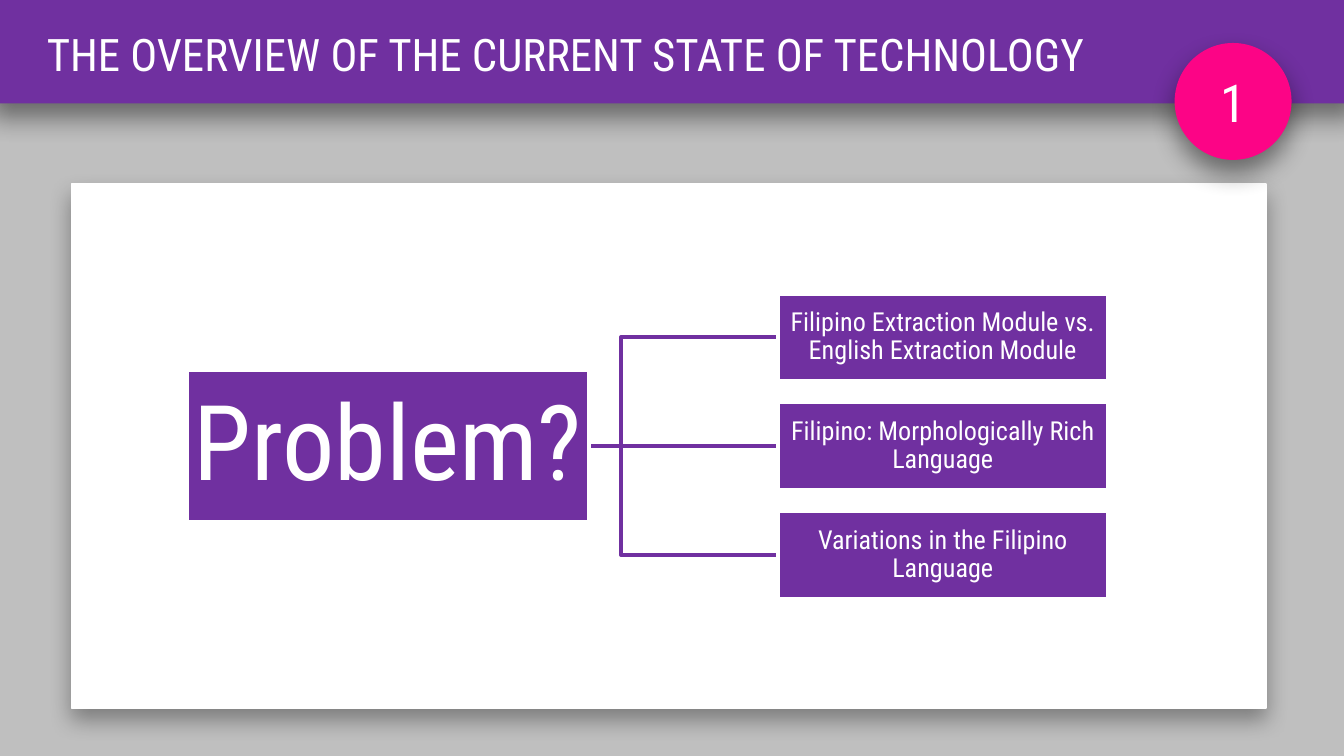
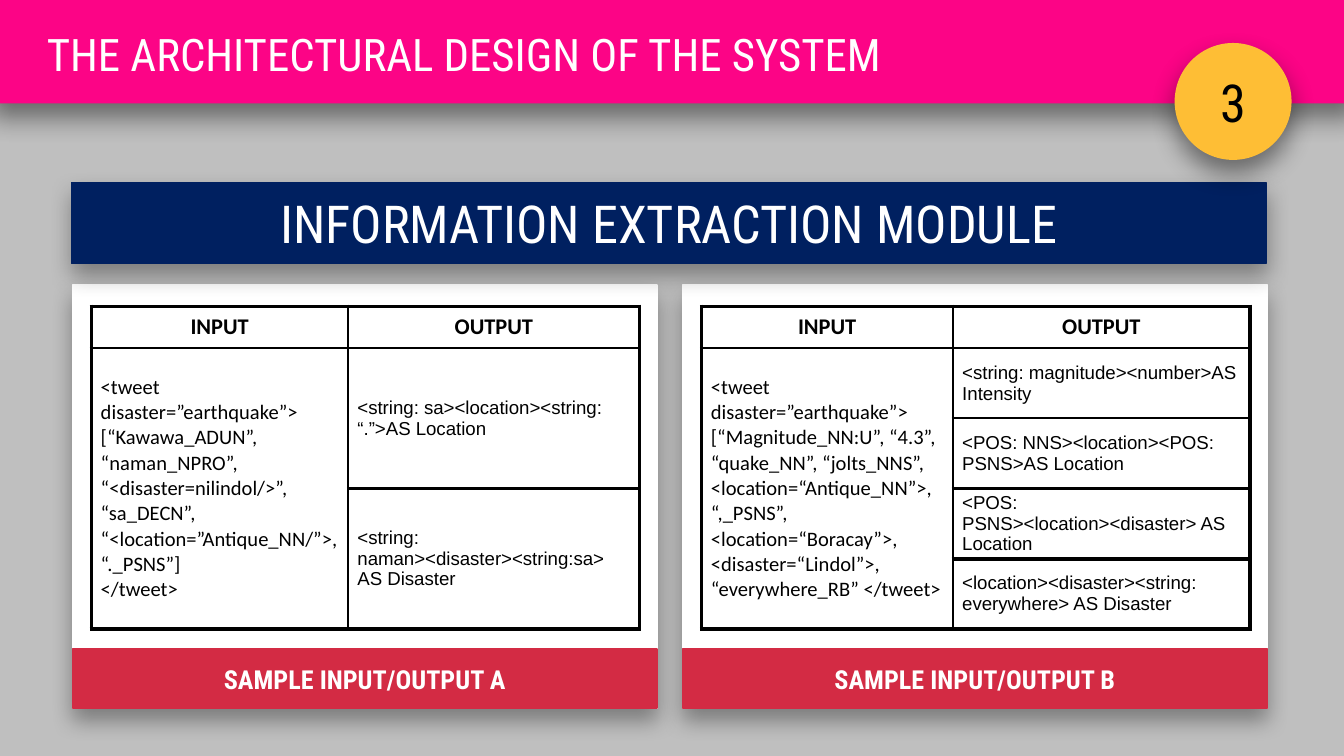
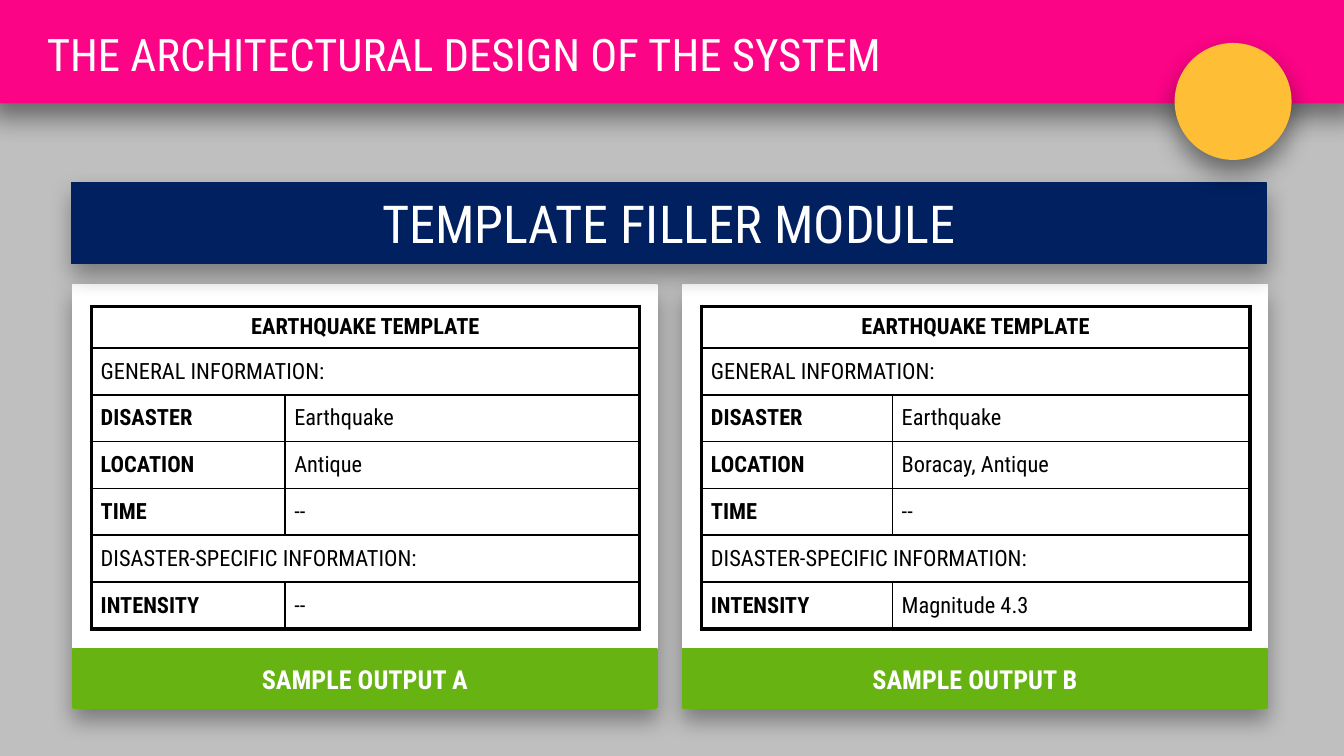
from dataclasses import dataclass

from lxml import etree
from pptx import Presentation
from pptx import util as u
from pptx.dml.color import RGBColor
from pptx.enum import shapes, text
from pptx.oxml.ns import qn

WHITE = RGBColor(0xFF, 0xFF, 0xFF)
BLACK = RGBColor(0x00, 0x00, 0x00)
GREY = RGBColor(0xBF, 0xBF, 0xBF)
PURPLE = RGBColor(0x70, 0x30, 0xA0)
PINK = RGBColor(0xFC, 0x04, 0x86)
AMBER = RGBColor(0xFE, 0xBE, 0x35)
NAVY = RGBColor(0x00, 0x20, 0x60)
RED = RGBColor(0xD3, 0x2B, 0x44)
GREEN = RGBColor(0x67, 0xB3, 0x12)

CONDENSED, CALIBRI, ARIAL = "Roboto Condensed", "Calibri", "Arial"
LEFT, CENTER = text.PP_ALIGN.LEFT, text.PP_ALIGN.CENTER
TOP, MIDDLE = text.MSO_ANCHOR.TOP, text.MSO_ANCHOR.MIDDLE
RECTANGLE, OVAL = shapes.MSO_SHAPE.RECTANGLE, shapes.MSO_SHAPE.OVAL

# The slide is a grid of square cells, 100 columns wide and 56.25 rows high.
SLIDE_WIDTH = u.Inches(10)
CELL = SLIDE_WIDTH / 100
ROWS = 56.25

# Shadows: opacity in percent, blur and distance in points.
CARD_SHADOW = (35, 12, 6)
BAND_SHADOW = (45, 14, 7)
OUTER_RULE = 2.25


def cells(count):
    return u.Emu(round(count * CELL))


@dataclass
class Box:
    """An area of the slide grid, in columns and rows."""
    left: float
    top: float
    width: float
    height: float

    def inner(self, left, top, width, height):
        return Box(self.left + left, self.top + top, width, height)

    def lengths(self):
        return [cells(n) for n in (self.left, self.top, self.width, self.height)]

    @property
    def middle(self):
        return self.top + self.height / 2


CONTENT = Box(5.3, 13.6, 88.9, 39.1)
CARD_WIDTH = 43.5
CARD_STEP = 45.4


def write(frame, paragraphs, size, color=WHITE, font=CONDENSED, bold=False,
          align=CENTER, spacing=None):
    for index, words in enumerate(paragraphs):
        paragraph = frame.add_paragraph() if index else frame.paragraphs[0]
        paragraph.alignment = align
        if spacing:
            paragraph.line_spacing = spacing
        run = paragraph.add_run()
        run.text = words
        run.font.name = font
        run.font.size = u.Pt(size)
        run.font.bold = bold
        run.font.color.rgb = color


def cast_shadow(shape, opacity, blur, distance):
    effects = shape._element.spPr.find(qn("a:effectLst"))
    shadow = etree.SubElement(
        effects, qn("a:outerShdw"), blurRad=str(u.Pt(blur)), dist=str(u.Pt(distance)),
        dir="5400000", algn="t", rotWithShape="0")
    color = etree.SubElement(shadow, qn("a:srgbClr"), val=str(BLACK))
    etree.SubElement(color, qn("a:alpha"), val=str(opacity * 1000))


def add_block(slide, box, fill, line=None, line_width=0.75, shadow=None, preset=RECTANGLE):
    shape = slide.shapes.add_shape(preset, *box.lengths())
    shape.shadow.inherit = False
    shape.fill.solid()
    shape.fill.fore_color.rgb = fill
    if line is None:
        shape.line.fill.background()
    else:
        shape.line.color.rgb = line
        shape.line.width = u.Pt(line_width)
    if shadow:
        cast_shadow(shape, *shadow)
    shape.text_frame.vertical_anchor = MIDDLE
    return shape


def add_header(slide, title, band_color, badge_color, number=None, number_color=WHITE):
    """Title band bleeding over the top edge, with a round section badge."""
    add_block(slide, Box(-0.8, -9.8, 101.7, 17.5), band_color, shadow=BAND_SHADOW)
    label = slide.shapes.add_textbox(*Box(2.5, 1.5, 80, 5).lengths())
    label.text_frame.word_wrap = True
    label.text_frame.vertical_anchor = TOP
    write(label.text_frame, [title], 24, align=LEFT)
    badge = add_block(slide, Box(87.4, 3.2, 8.7, 8.7), badge_color,
                      shadow=BAND_SHADOW, preset=OVAL)
    if number:
        write(badge.text_frame, [number], 28, number_color)


def add_module_heading(slide, heading):
    bar = add_block(slide, CONTENT.inner(0, 0, CONTENT.width, 6), NAVY, NAVY,
                    shadow=CARD_SHADOW)
    write(bar.text_frame, [heading], 28)


def add_card(slide, box, caption, caption_color):
    """White card with a caption strip; returns the area for its table."""
    add_block(slide, box, WHITE, WHITE, shadow=CARD_SHADOW)
    strip_height = 4.4
    strip = add_block(slide, box.inner(0, box.height - strip_height, box.width, strip_height),
                      caption_color, caption_color)
    write(strip.text_frame, [caption], 14, bold=True)
    return box.inner(1.4, 1.6, 40.8, 24)


def add_card_pair(slide, captions, color, fill_card, contents):
    for index, (caption, content) in enumerate(zip(captions, contents)):
        box = CONTENT.inner(0.1 + index * CARD_STEP, 7.6, CARD_WIDTH, 31.5)
        fill_card(slide, add_card(slide, box, caption, color), *content)


def add_grid(slide, box, row_count, first_column):
    table = slide.shapes.add_table(row_count, 2, *box.lengths()).table
    table.first_row = table.horz_banding = False
    table.columns[0].width = cells(first_column)
    table.columns[1].width = cells(box.width - first_column)
    header_height = 3.1
    table.rows[0].height = cells(header_height)
    for index in range(1, row_count):
        table.rows[index].height = cells((box.height - header_height) / (row_count - 1))
    return table


def write_cell(cell, paragraphs, size=12, font=CONDENSED, bold=False):
    cell.margin_left = cell.margin_right = u.Inches(0.07)
    cell.margin_top = cell.margin_bottom = 0
    cell.vertical_anchor = MIDDLE
    write(cell.text_frame, paragraphs, size, BLACK, font, bold, LEFT)


def write_head(cell, words, font):
    cell.vertical_anchor = MIDDLE
    write(cell.text_frame, [words], 12, BLACK, font, True)


def rule_grid(table, inner_rule, heavy_rows=()):
    """White cells, a thick frame, and thin rules save at the heavy row boundaries."""
    row_count, column_count = len(table.rows), len(table.columns)
    heavy_rows = {0, row_count, *heavy_rows}
    for row in range(row_count):
        for column in range(column_count):
            cell = table.cell(row, column)
            cell.fill.solid()
            cell.fill.fore_color.rgb = WHITE
            if cell.is_spanned:
                continue
            bottom = row + (cell.span_height if cell.is_merge_origin else 1)
            right = column + (cell.span_width if cell.is_merge_origin else 1)
            edges = {"a:lnL": column == 0, "a:lnR": right == column_count,
                     "a:lnT": row in heavy_rows, "a:lnB": bottom in heavy_rows}
            properties = cell._tc.get_or_add_tcPr()
            for position, (tag, heavy) in enumerate(edges.items()):
                width = OUTER_RULE if heavy else inner_rule
                edge = etree.Element(qn(tag), w=str(u.Pt(width)))
                fill = etree.SubElement(edge, qn("a:solidFill"))
                etree.SubElement(fill, qn("a:srgbClr"), val=str(BLACK))
                properties.insert(position, edge)


def add_extraction_table(slide, box, first_column, tweet, patterns, heavy_rows=()):
    table = add_grid(slide, box, len(patterns) + 1, first_column)
    for column, words in enumerate(("INPUT", "OUTPUT")):
        write_head(table.cell(0, column), words, CALIBRI)
    table.cell(1, 0).merge(table.cell(len(patterns), 0))
    write_cell(table.cell(1, 0), tweet, 11, CALIBRI)
    for row, pattern in enumerate(patterns, 1):
        write_cell(table.cell(row, 1), [pattern], 10, ARIAL)
    rule_grid(table, 1.5, heavy_rows)


def add_template_table(slide, box, first_column, location, intensity):
    rows = [
        ("EARTHQUAKE TEMPLATE",),
        ("GENERAL INFORMATION:",),
        ("DISASTER", "Earthquake"),
        ("LOCATION", location),
        ("TIME", "--"),
        ("DISASTER-SPECIFIC INFORMATION:",),
        ("INTENSITY", intensity),
    ]
    table = add_grid(slide, box, len(rows), first_column)
    for index, (label, *value) in enumerate(rows):
        first, second = table.cell(index, 0), table.cell(index, 1)
        if not value:
            first.merge(second)
        if index == 0:
            write_head(first, label, CONDENSED)
        else:
            write_cell(first, [label], bold=bool(value))
        if value:
            write_cell(second, value)
    rule_grid(table, 1)


def add_node(slide, box, words, size, inset):
    node = add_block(slide, box, PURPLE, WHITE, 2)
    frame = node.text_frame
    frame.word_wrap = True
    frame.margin_left = frame.margin_right = u.Inches(inset)
    frame.margin_top = frame.margin_bottom = u.Inches(inset)
    write(frame, [words], size, spacing=0.9)
    return node


def add_branch(slide, root, root_box, node, node_box):
    """Line from the root to a node, behind both; bent if they differ in height."""
    straight = abs(root_box.middle - node_box.middle) < 0.05
    kind = shapes.MSO_CONNECTOR.STRAIGHT if straight else shapes.MSO_CONNECTOR.ELBOW
    start = root_box.left + 20.6
    branch = slide.shapes.add_connector(
        kind, cells(start), cells(root_box.middle),
        cells(node_box.left), cells(node_box.middle))
    if straight:
        branch.begin_connect(root, 3)
        branch.end_connect(node, 1)
    branch.line.color.rgb = PURPLE
    branch.line.width = u.Pt(2)
    etree.SubElement(branch._element.spPr, qn("a:effectLst"))
    root._element.addprevious(branch._element)


def add_problem_tree(slide, box, root_words, node_words):
    root_box = box.inner(8.6, 13.85, 29.9, 11.3)
    root = add_node(slide, root_box, root_words, 56, 0.04)
    node_height, step = 6.5, 8.1
    first_top = 19.5 - node_height / 2 - step * (len(node_words) - 1) / 2
    for index, words in enumerate(node_words):
        node_box = box.inner(52.6, first_top + index * step, 24.5, node_height)
        node = add_node(slide, node_box, words, 14, 0.01)
        add_branch(slide, root, root_box, node, node_box)


def new_slide(presentation):
    slide = presentation.slides.add_slide(presentation.slide_layouts[6])
    slide.background.fill.solid()
    slide.background.fill.fore_color.rgb = GREY
    return slide


def build_overview(presentation):
    slide = new_slide(presentation)
    panel = CONTENT.inner(0, 0.1, CONTENT.width, 39)
    add_block(slide, panel, WHITE, WHITE, shadow=CARD_SHADOW)
    add_header(slide, "THE OVERVIEW OF THE CURRENT STATE OF TECHNOLOGY", PURPLE, PINK, "1")
    add_problem_tree(slide, panel, "Problem?", [
        "Filipino Extraction Module vs. English Extraction Module",
        "Filipino: Morphologically Rich Language",
        "Variations in the Filipino Language",
    ])


def build_module(presentation, heading, captions, color, fill_card, contents, number=None):
    slide = new_slide(presentation)
    add_card_pair(slide, captions, color, fill_card, contents)
    add_module_heading(slide, heading)
    add_header(slide, "THE ARCHITECTURAL DESIGN OF THE SYSTEM", PINK, AMBER, number, BLACK)


EXTRACTION_SAMPLES = [
    (19.1,
     ["<tweet disaster=”earthquake”>",
      "[“Kawawa_ADUN”, “naman_NPRO”, “<disaster=nilindol/>”, “sa_DECN”, "
      "“<location=”Antique_NN/”>, “._PSNS”]",
      "</tweet>"],
     ["<string: sa><location><string: “.”>AS Location",
      "<string: naman><disaster><string:sa> AS Disaster"]),
    (18.7,
     ["<tweet disaster=”earthquake”>",
      "[“Magnitude_NN:U”, “4.3”, “quake_NN”, “jolts_NNS”, <location=“Antique_NN”>, "
      "“,_PSNS”, <location=“Boracay”>, <disaster=“Lindol”>, “everywhere_RB” </tweet>"],
     ["<string: magnitude><number>AS Intensity",
      "<POS: NNS><location><POS: PSNS>AS Location",
      "<POS: PSNS><location><disaster> AS Location",
      "<location><disaster><string: everywhere> AS Disaster"],
     (4,)),
]
TEMPLATE_SAMPLES = [(14.4, "Antique", "--"), (14.2, "Boracay, Antique", "Magnitude 4.3")]


def main():
    presentation = Presentation()
    presentation.slide_width = SLIDE_WIDTH
    presentation.slide_height = cells(ROWS)
    build_overview(presentation)
    build_module(presentation, "INFORMATION EXTRACTION MODULE",
                 ("SAMPLE INPUT/OUTPUT A", "SAMPLE INPUT/OUTPUT B"), RED,
                 add_extraction_table, EXTRACTION_SAMPLES, "3")
    build_module(presentation, "TEMPLATE FILLER MODULE",
                 ("SAMPLE OUTPUT A", "SAMPLE OUTPUT B"), GREEN,
                 add_template_table, TEMPLATE_SAMPLES)
    presentation.save("out.pptx")


if __name__ == "__main__":
    main()
